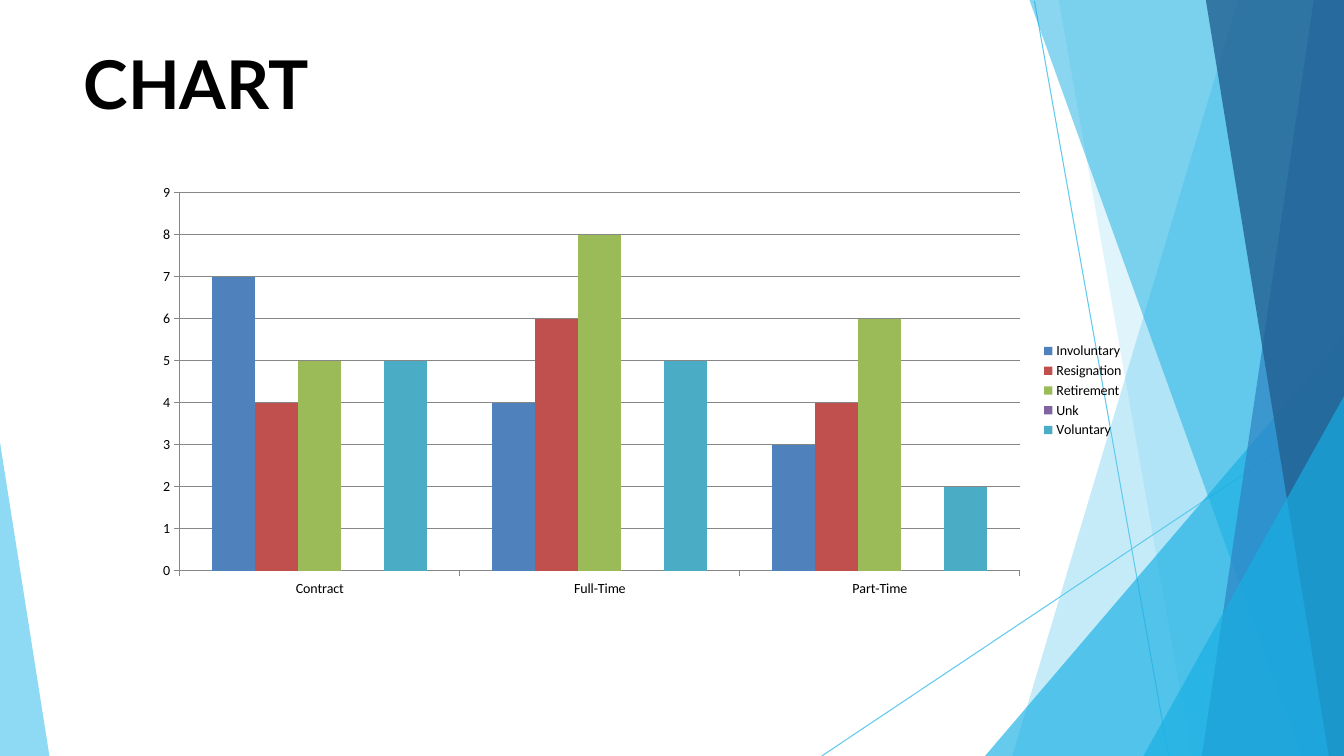
from lxml.etree import SubElement
from pptx import Presentation
from pptx.chart.data import CategoryChartData
from pptx.dml.color import RGBColor
from pptx.enum.chart import XL_CHART_TYPE as ChartType, XL_LEGEND_POSITION as LegendPosition
from pptx.enum.chart import XL_TICK_MARK as TickMark
from pptx.enum.shapes import MSO_CONNECTOR as Connector
from pptx.enum.text import MSO_ANCHOR as Anchor
from pptx.oxml.ns import qn
from pptx.util import Pt

PX = 9144
WIDTH, HEIGHT = 1333, 750

THEME = {
    "sky": "5FCAEE", "cyan": "17AFE3", "blue": "2D83C3", "navy": "226192",
    "text": "000000", "grid": "878787",
    "title_font": "Lato", "chart_font": "Calibri",
    "title_size": 48, "chart_size": 10, "line": 0.75,
}

TITLE = "CHART"
TITLE_BOX = (83, 42, 1168, 83)
CHART_BOX = (142, 175, 983, 425)
CATEGORIES = ["Contract", "Full-Time", "Part-Time"]
SERIES = [
    ("Involuntary", (7, 4, 3), "4F81BD"),
    ("Resignation", (4, 6, 4), "C0504D"),
    ("Retirement", (5, 8, 6), "9BBB59"),
    ("Unk", (None, None, None), "8064A2"),
    ("Voluntary", (5, 5, 2), "4BACC6"),
]

RAYS = [((1026, 1), (1159, HEIGHT)), ((WIDTH, 404), (815, HEIGHT))]
RIGHT_FACETS = [
    (1228, 0, 1004, "sky", 36),
    (1050, 0, 1182, "sky", 20),
    (WIDTH, 333, 977, "cyan", 66),
    (1021, 0, 1291, "cyan", 50),
    (1303, 0, 1192, "blue", 70),
    (1196, 0, 1318, "navy", 80),
    (WIDTH, 393, 1134, "cyan", 66),
]
LEFT_FACET = ([(0, 439), (0, HEIGHT), (49, HEIGHT)], "sky", 70)


def emu(*lengths):
    return [length * PX for length in lengths]


def assign(target, values):
    for name, value in values.items():
        setattr(target, name, value)


def paint(fill, color):
    fill.solid()
    fill.fore_color.rgb = RGBColor.from_string(color)


def style_font(font, face, size, bold):
    assign(font, {"name": face, "size": Pt(size), "bold": bold})
    font.color.rgb = RGBColor.from_string(THEME["text"])


def style_line(line, color):
    line.width = Pt(THEME["line"])
    paint(line.fill, color)


def add_ray(page, start, end):
    ray = page.shapes.add_connector(Connector.STRAIGHT, *emu(*start, *end))
    style_line(ray.line, THEME["sky"])
    SubElement(ray._element.spPr, qn("a:effectLst"))


def add_facet(page, points, color, opacity):
    builder = page.shapes.build_freeform(*points[0], scale=PX)
    builder.add_line_segments(points[1:], close=True)
    facet = builder.convert_to_shape()
    facet.shadow.inherit = False
    facet.line.fill.background()
    paint(facet.fill, THEME[color])
    tint = facet._element.spPr.find(qn("a:solidFill"))[0]
    SubElement(tint, qn("a:alpha"), val=str(opacity * 1000))


def add_title(page):
    box = page.shapes.add_textbox(*emu(*TITLE_BOX))
    assign(box.text_frame, {
        "word_wrap": True, "vertical_anchor": Anchor.TOP,
        "margin_left": 0, "margin_top": 0, "margin_right": 0, "margin_bottom": 0,
    })
    span = box.text_frame.paragraphs[0].add_run()
    span.text = TITLE
    style_font(span.font, THEME["title_font"], THEME["title_size"], True)


def add_turnover_chart(page):
    data = CategoryChartData()
    data.categories = CATEGORIES
    for name, values, _ in SERIES:
        data.add_series(name, values)
    chart = page.shapes.add_chart(ChartType.COLUMN_CLUSTERED, *emu(*CHART_BOX), data).chart
    assign(chart, {"has_title": False, "has_legend": True})
    style_font(chart.font, THEME["chart_font"], THEME["chart_size"], False)
    assign(chart.legend, {"position": LegendPosition.RIGHT, "include_in_layout": False})
    plot = chart.plots[0]
    assign(plot, {"gap_width": 150, "overlap": 0, "vary_by_categories": False})
    for series, (_, _, color) in zip(plot.series, SERIES):
        paint(series.format.fill, color)
    for axis in (chart.category_axis, chart.value_axis):
        assign(axis, {"major_tick_mark": TickMark.OUTSIDE, "minor_tick_mark": TickMark.NONE})
        style_line(axis.format.line, THEME["grid"])
    assign(chart.value_axis, {
        "minimum_scale": 0, "maximum_scale": 9, "major_unit": 1, "has_major_gridlines": True,
    })
    style_line(chart.value_axis.major_gridlines.format.line, THEME["grid"])


def main():
    deck = Presentation()
    assign(deck, {"slide_width": WIDTH * PX, "slide_height": HEIGHT * PX})
    page = deck.slides.add_slide(deck.slide_layouts[6])
    for start, end in RAYS:
        add_ray(page, start, end)
    for top_x, top_y, bottom_x, color, opacity in RIGHT_FACETS:
        points = [(WIDTH, top_y), (top_x, top_y), (bottom_x, HEIGHT), (WIDTH, HEIGHT)]
        add_facet(page, list(dict.fromkeys(points)), color, opacity)
    add_facet(page, *LEFT_FACET)
    add_title(page)
    add_turnover_chart(page)
    deck.save("out.pptx")


if __name__ == "__main__":
    main()
